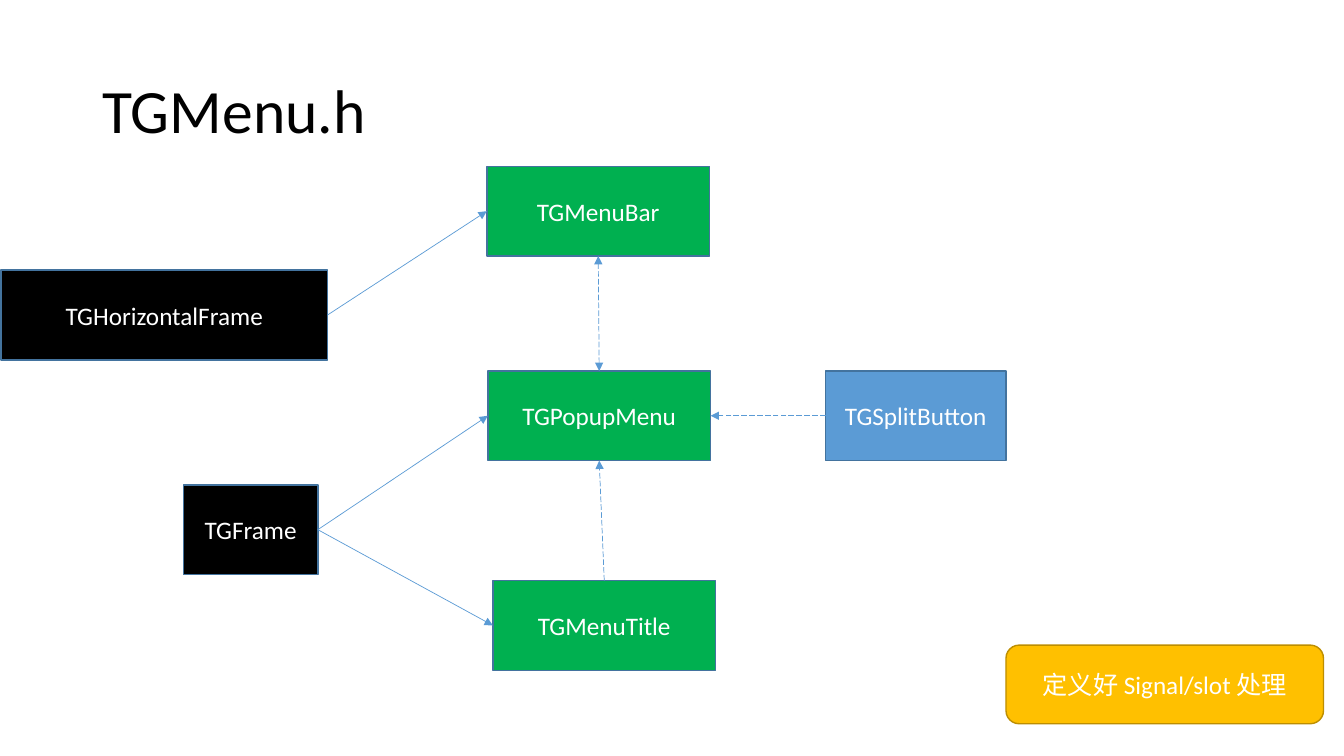
from dataclasses import dataclass

from lxml import etree
from pptx import Presentation
from pptx import util as u
from pptx.dml.color import RGBColor
from pptx.enum import dml, shapes, text
from pptx.oxml.ns import qn

COLUMNS, ROWS = 40, 22.5
PAGE_WIDTH, PAGE_HEIGHT = u.Inches(13.333), u.Inches(7.5)
BOX_ROWS = 2.67
MENU_COLUMNS = 6.63
MIDDLE_ROW = 11.04
TOP, LEFT, BOTTOM, RIGHT = range(4)


@dataclass(frozen=True)
class Theme:
    font: str = "Calibri"
    title_size: int = 44
    label_size: int = 18
    ink: str = "000000"
    paper: str = "FFFFFF"
    base: str = "000000"
    menu: str = "00B050"
    button: str = "5B9BD5"
    note: str = "FFC000"
    box_edge: str = "43739E"
    note_edge: str = "BD8E00"
    arrow: str = "5B9BD5"
    edge_width: float = 1
    arrow_width: float = 0.5


THEME = Theme()


def colour(code):
    return RGBColor.from_string(code)


def place(column, row, columns, rows):
    across, down = PAGE_WIDTH / COLUMNS, PAGE_HEIGHT / ROWS
    return [round(n) for n in (column * across, row * down, columns * across, rows * down)]


def write(shape, words, size, ink):
    frame = shape.text_frame
    frame.word_wrap = True
    frame.vertical_anchor = text.MSO_ANCHOR.MIDDLE
    para = frame.paragraphs[0]
    para.text = words
    para.font.name = THEME.font
    para.font.size = u.Pt(size)
    para.font.color.rgb = colour(ink)
    return para


def add_title(page, words):
    box = page.shapes.add_textbox(*place(2.76, 1.2, 34.5, 4.35))
    write(box, words, THEME.title_size, THEME.ink).line_spacing = 0.9


def add_box(page, words, fill, column, row, columns, rows=BOX_ROWS,
            kind=shapes.MSO_SHAPE.RECTANGLE, edge=THEME.box_edge):
    box = page.shapes.add_shape(kind, *place(column, row, columns, rows))
    box.shadow.inherit = False
    box.fill.solid()
    box.fill.fore_color.rgb = colour(fill)
    box.line.color.rgb = colour(edge)
    box.line.width = u.Pt(THEME.edge_width)
    write(box, words, THEME.label_size, THEME.paper).alignment = text.PP_ALIGN.CENTER
    return box


def add_arrow(page, start, start_side, end, end_side, dashed=False, both_ends=False):
    arrow = page.shapes.add_connector(shapes.MSO_CONNECTOR.STRAIGHT, 0, 0, 0, 0)
    arrow.begin_connect(start, start_side)
    arrow.end_connect(end, end_side)
    arrow.line.color.rgb = colour(THEME.arrow)
    arrow.line.width = u.Pt(THEME.arrow_width)
    if dashed:
        arrow.line.dash_style = dml.MSO_LINE.LONG_DASH
    outline = arrow.line._get_or_add_ln()
    for tip in ("a:headEnd", "a:tailEnd") if both_ends else ("a:tailEnd",):
        etree.SubElement(outline, qn(tip), type="triangle")
    etree.SubElement(arrow._element.spPr, qn("a:effectLst"))


def main():
    deck = Presentation()
    deck.slide_width, deck.slide_height = PAGE_WIDTH, PAGE_HEIGHT
    page = deck.slides.add_slide(deck.slide_layouts[6])

    add_title(page, "TGMenu.h")
    frame = add_box(page, "TGFrame", THEME.base, 5.46, 14.43, 4)
    popup = add_box(page, "TGPopupMenu", THEME.menu, 14.52, MIDDLE_ROW, MENU_COLUMNS)
    menu_title = add_box(page, "TGMenuTitle", THEME.menu, 14.67, 17.28, MENU_COLUMNS)
    menu_bar = add_box(page, "TGMenuBar", THEME.menu, 14.49, 4.95, MENU_COLUMNS)
    horizontal = add_box(page, "TGHorizontalFrame", THEME.base, 0.03, 8.04, 9.72)
    split = add_box(page, "TGSplitButton", THEME.button, 24.57, MIDDLE_ROW, 5.37)
    add_box(page, "定义好 Signal/slot 处理", THEME.note, 29.94, 19.2, 9.45, 2.34,
            shapes.MSO_SHAPE.ROUNDED_RECTANGLE, THEME.note_edge)

    add_arrow(page, horizontal, RIGHT, menu_bar, LEFT)
    add_arrow(page, frame, RIGHT, menu_title, LEFT)
    add_arrow(page, frame, RIGHT, popup, LEFT)
    add_arrow(page, popup, TOP, menu_bar, BOTTOM, dashed=True, both_ends=True)
    add_arrow(page, menu_title, TOP, popup, BOTTOM, dashed=True)
    add_arrow(page, split, LEFT, popup, RIGHT, dashed=True)

    deck.save("out.pptx")


if __name__ == "__main__":
    main()
